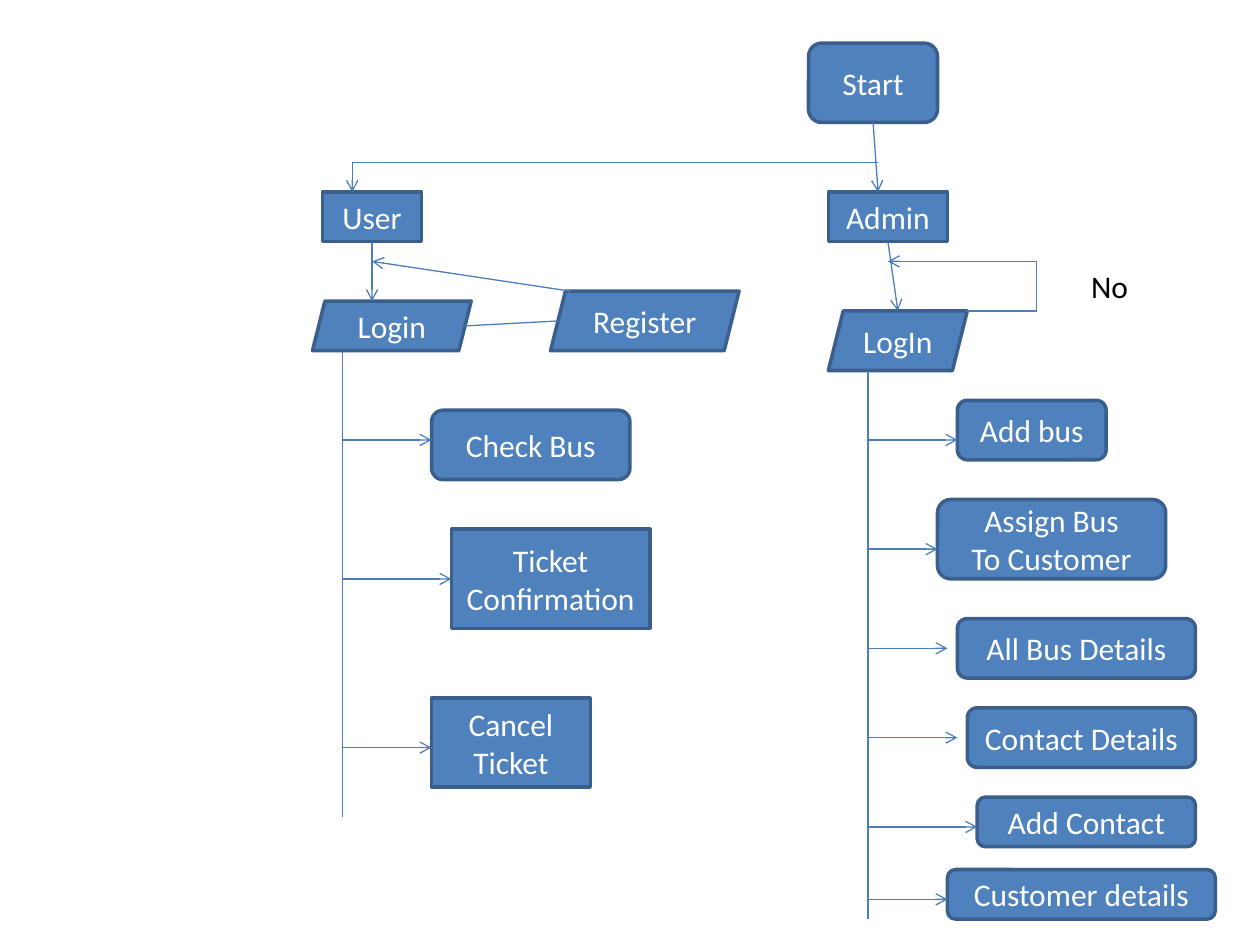
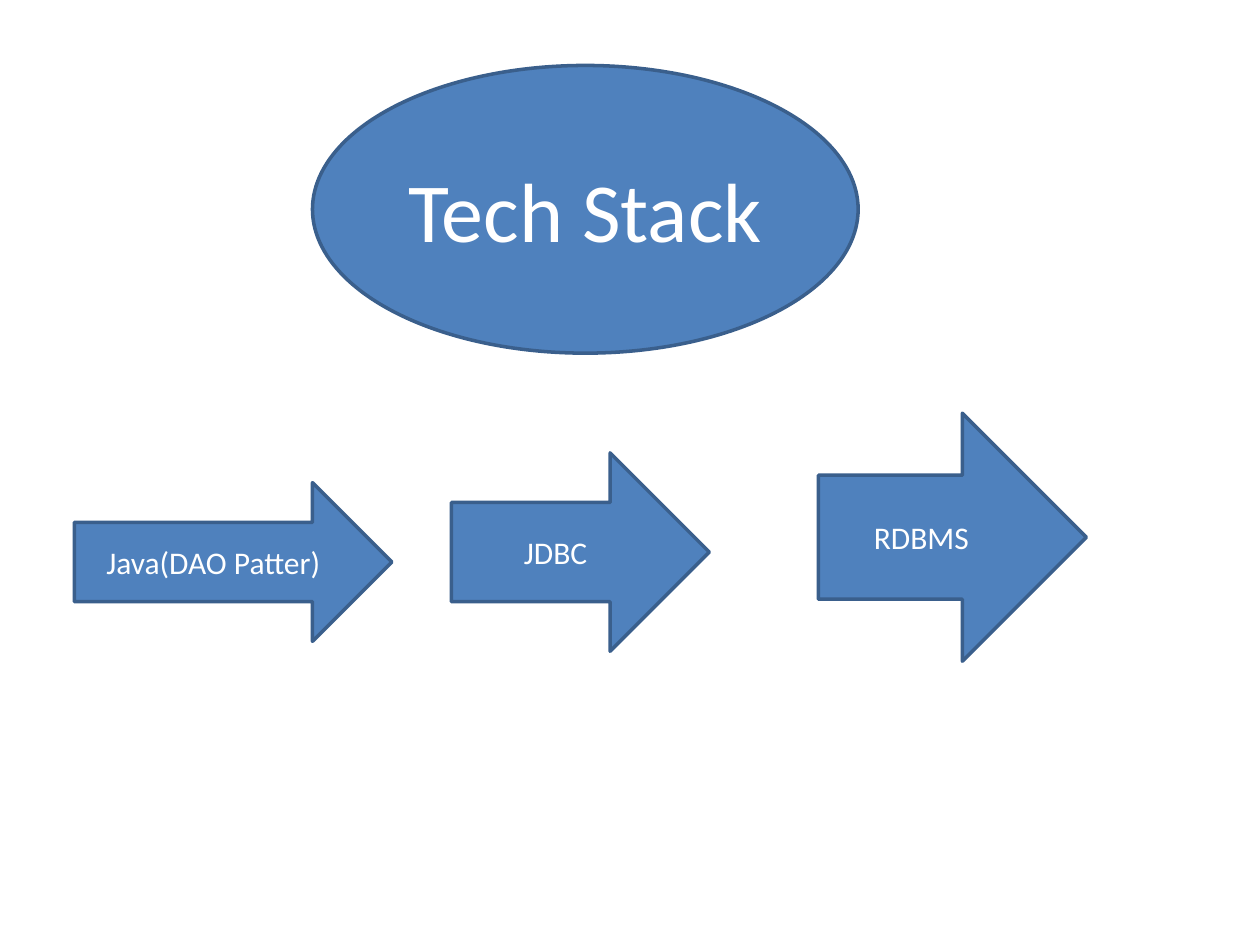
from lxml import etree
from pptx import Presentation
from pptx import util as u
from pptx.dml.color import RGBColor
from pptx.enum import shapes, text
from pptx.oxml.ns import qn

Kind = shapes.MSO_SHAPE
ROUND, RECT = Kind.ROUNDED_RECTANGLE, Kind.RECTANGLE
SLANT, OVAL, ARROW = Kind.PARALLELOGRAM, Kind.OVAL, Kind.RIGHT_ARROW
HUES = {"fill": "4F81BD", "edge": "3A5F8C", "link": "4B7EBC",
        "white": "FFFFFF", "black": "000000"}
TONES = {name: RGBColor.from_string(code) for name, code in HUES.items()}
FONT = {"name": "Calibri", "size": u.Pt(18), "bold": False}
FRAME = {"word_wrap": True, "vertical_anchor": text.MSO_ANCHOR.MIDDLE}


def write(shape, words, tone="white", **extra):
    frame = shape.text_frame
    frame.text = words
    for key, value in FRAME.items():
        setattr(frame, key, value)
    for para in frame.paragraphs:
        para.alignment = text.PP_ALIGN.CENTER
        for run in para.runs:
            run.font.color.rgb = TONES[tone]
            for key, value in {**FONT, **extra}.items():
                setattr(run.font, key, value)


def block(slide, kind, words, area, fill="fill", edge="edge", tone="white"):
    shape = slide.shapes.add_shape(kind, *map(u.Cm, area))
    shape.shadow.inherit = False
    shape.fill.solid()
    shape.fill.fore_color.rgb = TONES[fill]
    shape.line.color.rgb = TONES[edge]
    shape.line.width = u.Pt(2)
    if words:
        write(shape, words, tone)
    return shape


deck = Presentation()
deck.slide_width, deck.slide_height = u.Cm(25.4), u.Cm(19.05)

flow = deck.slides.add_slide(deck.slide_layouts[6])
for kind, words, area in [
    (ROUND, "Start", (16.3, 0.87, 2.6, 1.6)),
    (RECT, "Admin", (16.7, 3.87, 2.4, 1)),
    (RECT, "User", (6.5, 3.87, 2, 1)),
    (SLANT, "Register", (11.1, 5.87, 3.8, 1.2)),
    (SLANT, "Login", (6.3, 6.07, 3.2, 1)),
    (SLANT, "LogIn", (16.7, 6.27, 2.8, 1.2)),
]:
    block(flow, kind, words, area)
block(flow, OVAL, "No", (21.1, 4.67, 2.54, 2.2), "white", "white", "black")

links = [
    (17.6, 2.47, 17.7, 3.87, True),
    (7.1, 3.27, 17.7, 3.27, False),
    (7.1, 3.27, 7.1, 3.87, True),
    (7.5, 4.87, 7.5, 6.07, True),
    (11.5, 5.87, 7.5, 5.27, True),
    (9.37, 6.57, 11.25, 6.47, False),
    (17.9, 4.87, 18.1, 6.27, True),
    (19.5, 6.27, 20.9, 6.27, False),
    (20.9, 5.27, 20.9, 6.27, False),
    (20.9, 5.27, 17.9, 5.27, True),
]

trees = [
    (6.9, 7.07, 16.47, [
        (ROUND, "Check Bus", (8.7, 8.27, 4, 1.4), 8.87, 0),
        (RECT, "Ticket Confirmation", (9.1, 10.67, 4, 2), 11.67, 0),
        (ROUND, "Cancel\nTicket", (8.7, 14.07, 3.2, 1.8), 15.07, 0),
    ]),
    (17.5, 7.47, 18.52, [
        (ROUND, "Add bus", (19.3, 8.07, 3, 1.2), 8.87, 0),
        (ROUND, "Assign Bus\nTo Customer", (18.9, 10.07, 4.6, 1.6), 11.07, 0),
        (ROUND, "All Bus Details", (19.3, 12.47, 4.8, 1.2), 13.07, 0.2),
        (ROUND, "Contact Details", (19.5, 14.27, 4.6, 1.2), 14.87, 0.2),
        (ROUND, "Add Contact", (19.7, 16.07, 4.4, 1), 16.67, 0),
        (ROUND, "Customer details", (19.1, 17.53, 5.4, 1), 18.13, 0),
    ]),
]
for stem, top, end, tasks in trees:
    links.append((stem, top, stem, end, False))
    for kind, words, area, level, gap in tasks:
        task = block(flow, kind, words, area)
        if words.startswith("Cancel"):
            task.adjustments[0] = 0
        links.append((stem, level, area[0] - gap, level, True))

for *ends, tip in links:
    link = flow.shapes.add_connector(shapes.MSO_CONNECTOR.STRAIGHT, *map(u.Cm, ends))
    link.line.color.rgb = TONES["link"]
    link.line.width = u.Pt(0.75)
    if tip:
        etree.SubElement(link.line._get_or_add_ln(), qn("a:tailEnd"), type="arrow")
    etree.SubElement(link._element.spPr, qn("a:effectLst"))

stack = deck.slides.add_slide(deck.slide_layouts[5])
title = stack.shapes.title
crown = block(stack, OVAL, "", (6.3, 1.32, 11, 5.8))
crown._element.addnext(title._element)
for side in ("left", "top", "width", "height"):
    setattr(title, side, getattr(crown, side))
write(title, "Tech Stack", size=u.Pt(48))
for words, area in [
    ("Java(DAO Patter)", (1.5, 9.73, 6.4, 3.2)),
    ("JDBC", (9.1, 9.13, 5.2, 4)),
    ("RDBMS", (16.5, 8.33, 5.4, 5)),
]:
    block(stack, ARROW, words, area)

deck.save("out.pptx")
